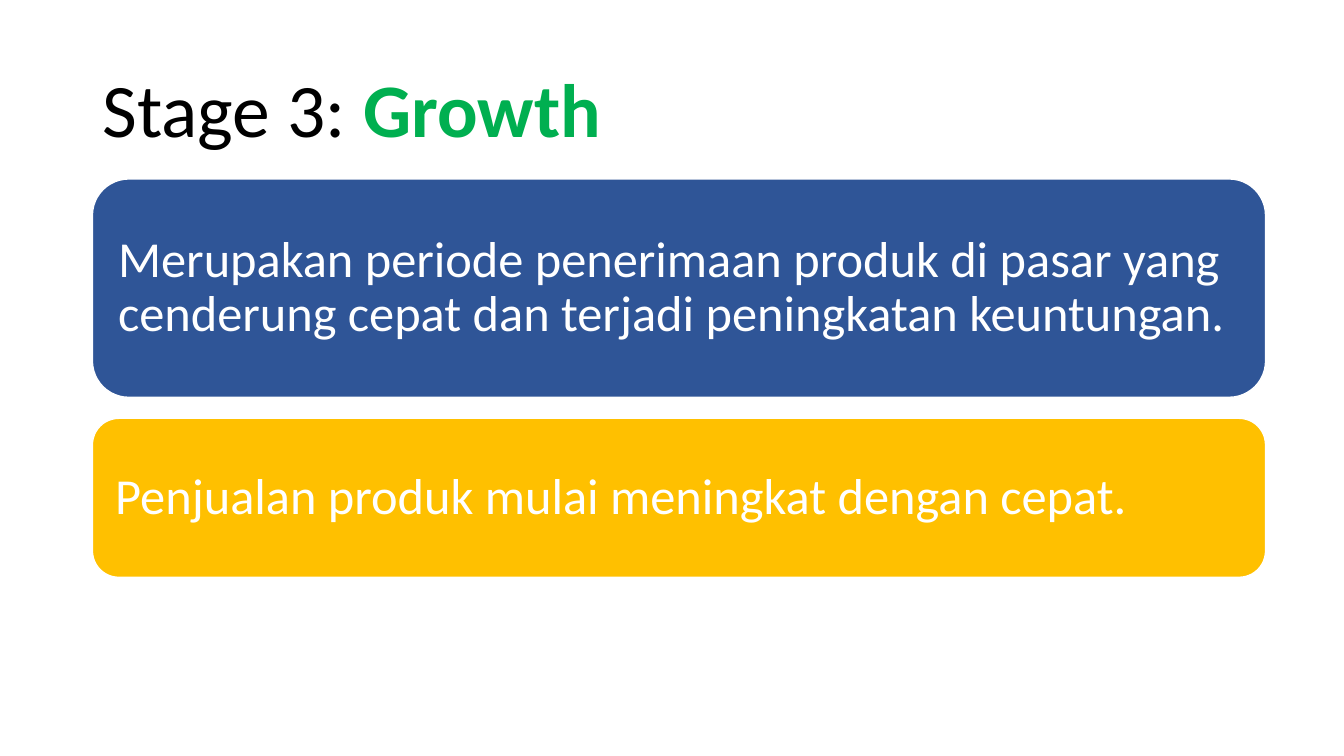
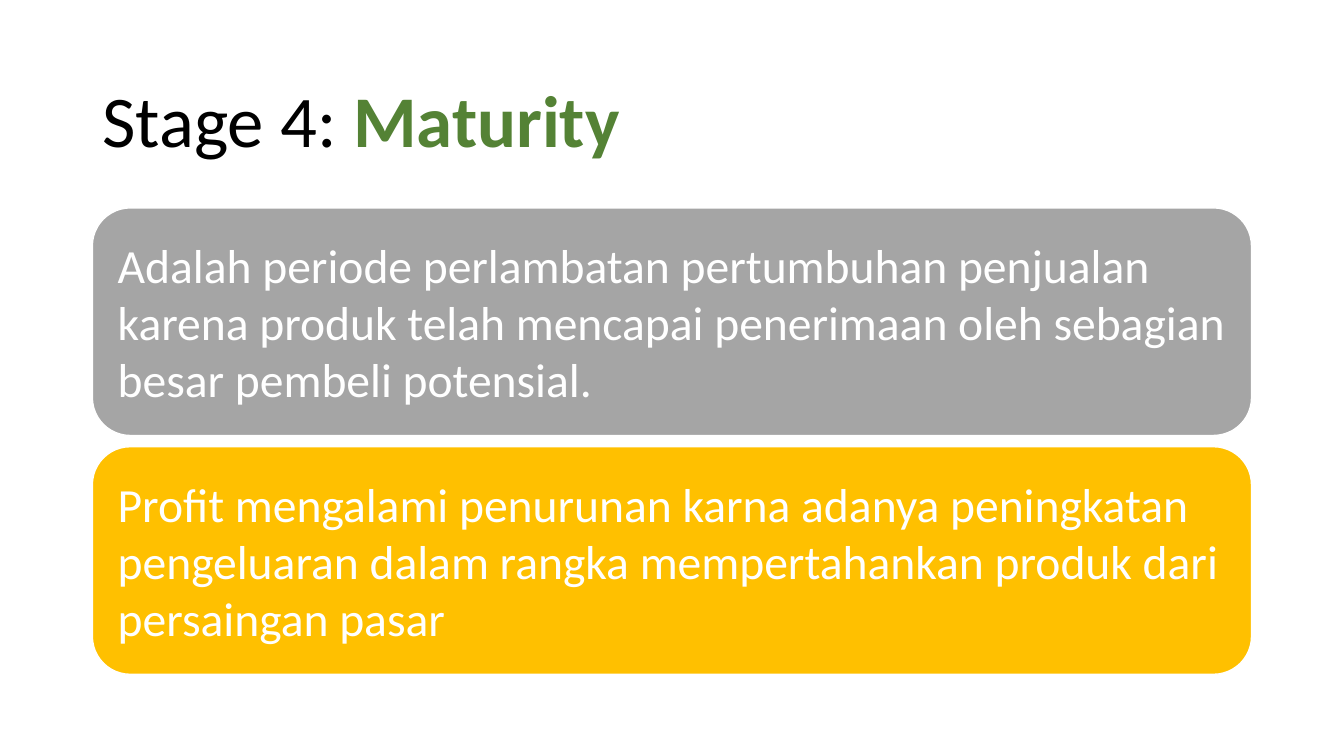
from pptx import Presentation
from pptx import util as u
from pptx.dml.color import RGBColor
from pptx.enum import shapes, text

Pt = u.Pt

# Shared look
FONT = "Calibri"
BLACK, WHITE = "000000", "FFFFFF"
BLUE, AMBER, GREY = "2F5597", "FFC000", "A5A5A5"
LEFT = 66
TITLE_WIDTH = 828
TITLE_ONLY = 5

# Title boxes are (top, height); panels are (text, fill, height)
STAGES = [
    {
        "title": ("Stage 3: ", "Growth"), "accent": "00AF50",
        "title_box": (28.8, 104.4), "title_size": 54,
        "panel_box": (LEFT, 127.8, 838), "gap": 15,
        "panel_style": {"size": 36, "spacing": 0.9, "inset": 10.8},
        "panels": [
            ("Merupakan periode penerimaan produk di pasar yang cenderung "
             "cepat dan terjadi peningkatan keuntungan.", BLUE, 156),
            ("Penjualan produk mulai meningkat dengan cepat.", AMBER, 113.6),
        ],
    },
    {
        "title": ("Stage 4: ", "Maturity"), "accent": "548235",
        "title_box": (44, 89), "title_size": 52,
        "panel_box": (LEFT, 148.5, TITLE_WIDTH), "gap": 8,
        "panel_style": {"size": 34, "spacing": 1.0, "inset": 10.2},
        "panels": [
            ("Adalah periode perlambatan pertumbuhan penjualan karena produk "
             "telah mencapai penerimaan oleh sebagian besar pembeli "
             "potensial.", GREY, 162.6),
            ("Profit mengalami penurunan karna adanya peningkatan pengeluaran "
             "dalam rangka mempertahankan produk dari persaingan pasar",
             AMBER, 162.6),
        ],
    },
]


def color(value):
    return RGBColor.from_string(value)


def set_all(target, values):
    for name, value in values.items():
        setattr(target, name, value)


def write_text(box, spans, size, spacing, inset):
    """Fill a box with one left-aligned paragraph of (text, colour, bold)."""
    frame = box.text_frame
    set_all(frame, {
        "word_wrap": True,
        "auto_size": text.MSO_AUTO_SIZE.NONE,
        "vertical_anchor": text.MSO_ANCHOR.MIDDLE,
    })
    if inset is not None:
        sides = ("left", "top", "right", "bottom")
        set_all(frame, {f"margin_{side}": Pt(inset) for side in sides})
    para = frame.paragraphs[0]
    set_all(para, {"alignment": text.PP_ALIGN.LEFT, "line_spacing": spacing})
    for wording, tint, bold in spans:
        span = para.add_run()
        span.text = wording
        set_all(span.font, {"name": FONT, "size": Pt(size), "bold": bold})
        span.font.color.rgb = color(tint)


def add_title(page, stage):
    top, height = stage["title_box"]
    title = page.shapes.title
    set_all(title, {"left": Pt(LEFT), "top": Pt(top),
                    "width": Pt(TITLE_WIDTH), "height": Pt(height)})
    label, name = stage["title"]
    spans = [(label, BLACK, False), (name, stage["accent"], True)]
    write_text(title, spans, stage["title_size"], 0.9, None)


def add_panels(page, box, panels, gap, style):
    """Stack rounded panels downwards from the top of the given box."""
    left, top, width = box
    for wording, fill, height in panels:
        panel = page.shapes.add_shape(
            shapes.MSO_SHAPE.ROUNDED_RECTANGLE,
            Pt(left), Pt(top), Pt(width), Pt(height))
        panel.shadow.inherit = False
        panel.fill.solid()
        panel.fill.fore_color.rgb = color(fill)
        panel.line.color.rgb = color(WHITE)
        panel.line.width = Pt(1)
        write_text(panel, [(wording, WHITE, False)], **style)
        top += height + gap


def add_stage(deck, stage):
    page = deck.slides.add_slide(deck.slide_layouts[TITLE_ONLY])
    add_title(page, stage)
    add_panels(page, stage["panel_box"], stage["panels"], stage["gap"],
               stage["panel_style"])


def main():
    deck = Presentation()
    set_all(deck, {"slide_width": Pt(960), "slide_height": Pt(540)})
    for stage in STAGES:
        add_stage(deck, stage)
    deck.save("out.pptx")


if __name__ == "__main__":
    main()
